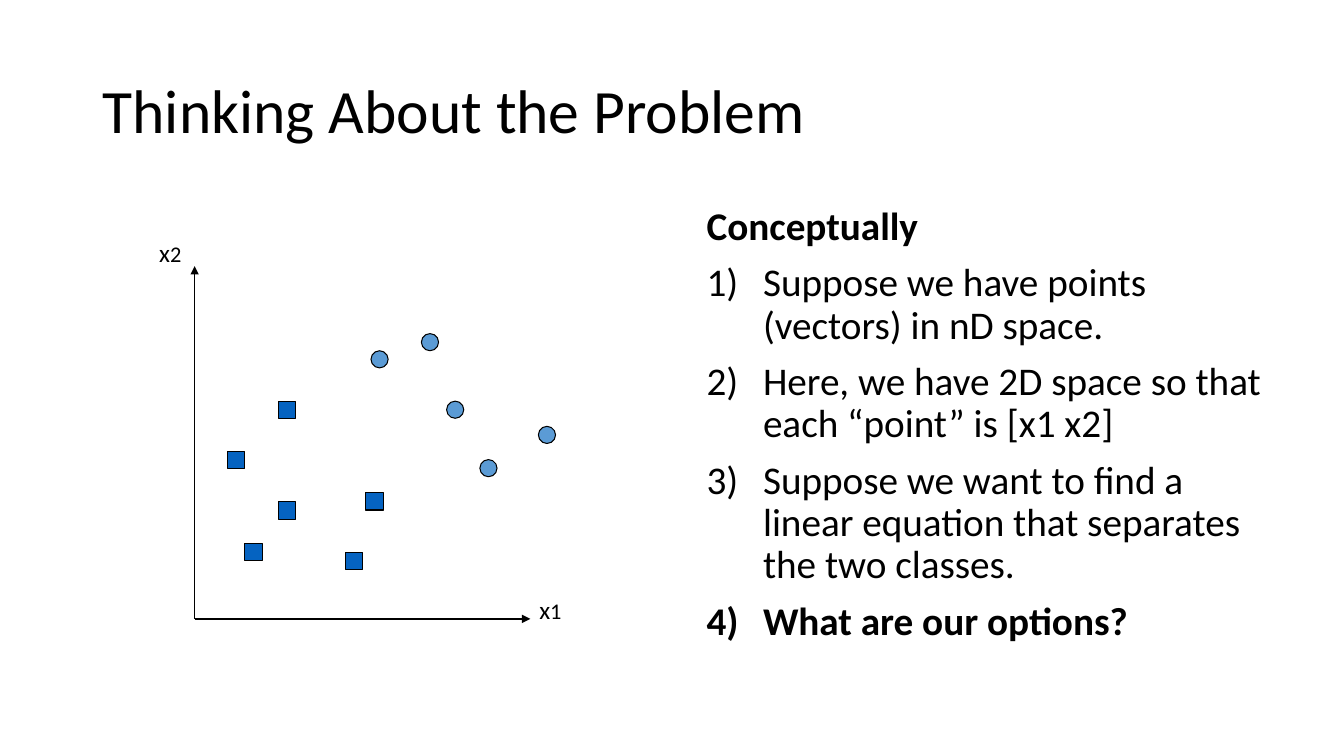
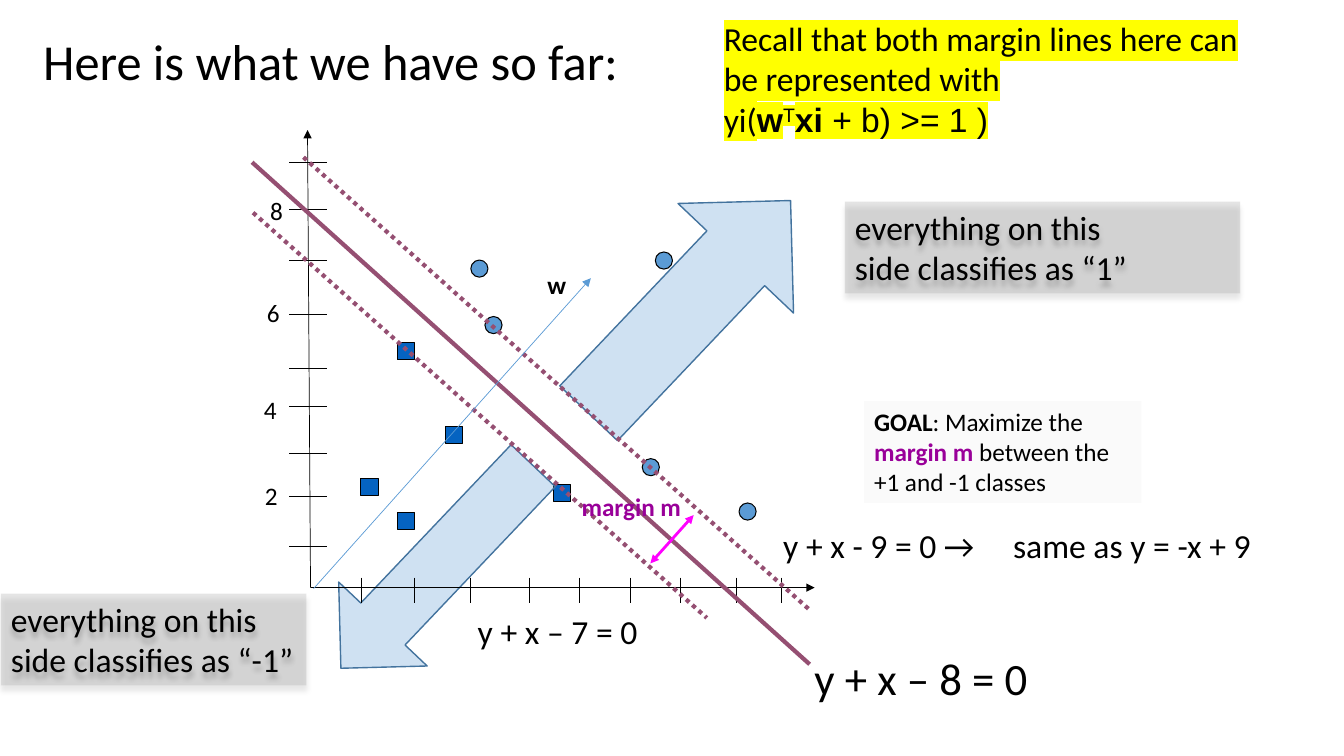
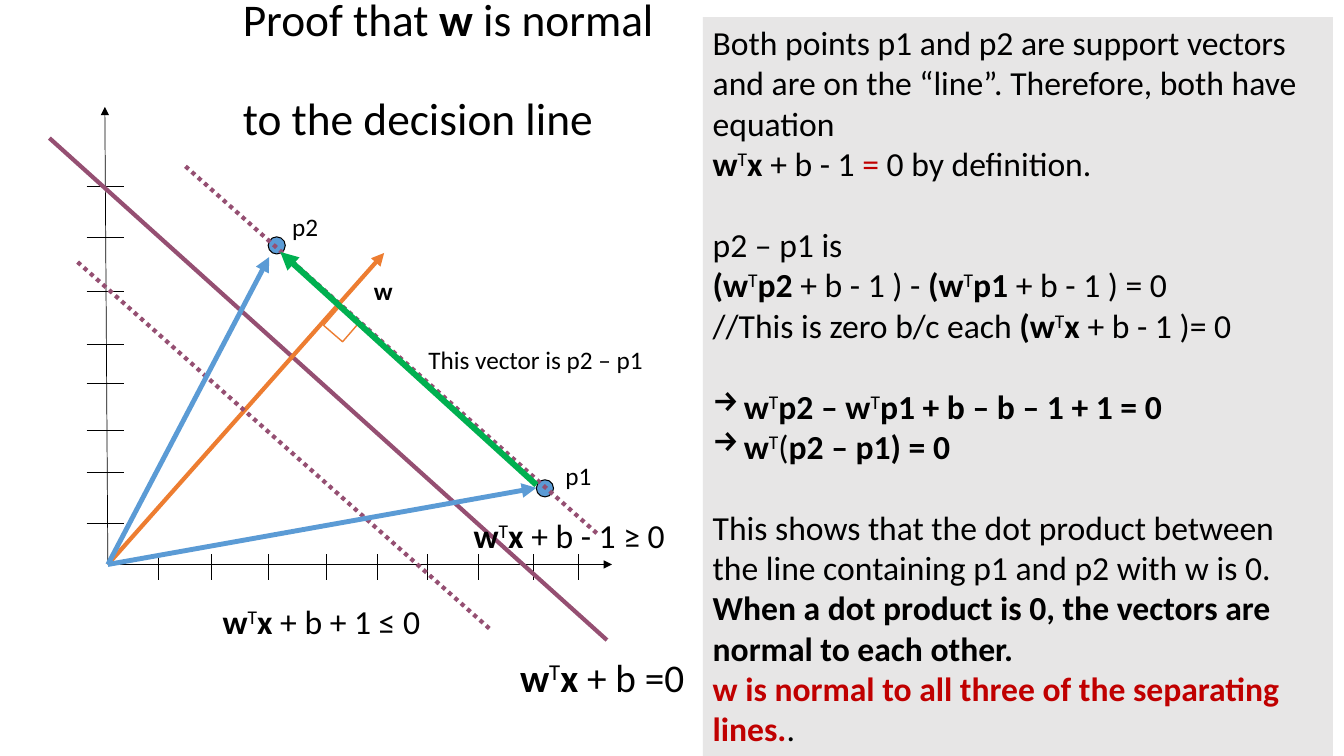
from lxml.etree import SubElement
from pptx import Presentation
from pptx.dml.color import RGBColor
from pptx.enum.dml import MSO_LINE
from pptx.enum.shapes import MSO_CONNECTOR, MSO_SHAPE
from pptx.enum.text import MSO_ANCHOR
from pptx.oxml.ns import qn
from pptx.util import Inches, Pt

BLACK, WHITE, BLUE, DEEP_BLUE, STEEL = "000000", "FFFFFF", "5B9BD5", "0563C1", "43739E"
PLUM, PURPLE, MAGENTA, ORANGE, GREEN = "954F72", "990099", "FF00FF", "ED7D31", "00B050"
RED, YELLOW, GREY, PALE, SILVER = "C00000", "FFFF00", "9D9D9D", "FAFAFA", "E7E6E6"

presentation = Presentation()
presentation.slide_width = Inches(13.33)
presentation.slide_height = Inches(7.5)
cell = presentation.slide_height // 75


def paint(fill, color, alpha=None):
    fill.solid()
    fill.fore_color.rgb = RGBColor.from_string(color)
    if alpha:
        for choice in fill._xPr.iter(qn("a:srgbClr")):
            SubElement(choice, qn("a:alpha"), val=str(alpha * 1000))


def add_text(slide, box, text, wrap=True, anchor=MSO_ANCHOR.TOP, spacing=None,
             fill=None, alpha=None, shadow=False, **style):
    shape = slide.shapes.add_textbox(*[int(length * cell) for length in box])
    frame = shape.text_frame
    frame.word_wrap = wrap
    frame.vertical_anchor = anchor
    if fill:
        paint(shape.fill, fill, alpha)
    if shadow:
        shape.shadow.inherit = False
        effects = shape._element.spPr.find(qn("a:effectLst"))
        outer = SubElement(effects, qn("a:outerShdw"), blurRad=str(Pt(4)), dist=str(Pt(4)),
                           dir="5400000", algn="t", rotWithShape="0")
        shade = SubElement(outer, qn("a:srgbClr"), val=BLACK)
        SubElement(shade, qn("a:alpha"), val="36000")
    for number, runs in enumerate([text] if isinstance(text, str) else text):
        paragraph = frame.add_paragraph() if number else frame.paragraphs[0]
        if spacing:
            paragraph.line_spacing = spacing
        for words, change in [(runs, {})] if isinstance(runs, str) else runs:
            look = {"font": "Calibri", "size": 18, "color": BLACK, "bold": False, **style, **change}
            run = paragraph.add_run()
            run.text = words
            run.font.size = Pt(look["size"])
            run.font.bold = look["bold"]
            paint(run.font.fill, look["color"])
            properties = run._r.get_or_add_rPr()
            if "highlight" in look:
                marker = SubElement(properties, qn("a:highlight"))
                SubElement(marker, qn("a:srgbClr"), val=look["highlight"])
            if "raised" in look:
                properties.set("baseline", "30000")
            run.font.name = look["font"]
    return shape


problem, margins, proof = [
    presentation.slides.add_slide(presentation.slide_layouts[6]) for _ in range(3)]
plain, bold, raised = {}, {"bold": True}, {"raised": True}
weight = [("w", bold), ("T", raised)]
weight_x = [*weight, ("x", bold)]

titles = [
    (problem, (9.2, 4, 115, 14.5), 44, "Thinking About the Problem"),
    (margins, (3.3, 2.5, 85, 7.8), 36, "Here is what we have so far:"),
    (proof, (23.1, 1.8, 43.3, 10.6), 32.4,
     [[("Proof that ", plain), ("w", bold), (" is normal", plain)], "to the decision line"]),
]
for slide, box, size, text in titles:
    title = add_text(slide, box, text, size=size, anchor=MSO_ANCHOR.MIDDLE, spacing=0.9)
    for paragraph in title.text_frame.paragraphs[1:]:
        paragraph.space_before = Pt(35.6)

circle, square = (MSO_SHAPE.OVAL, BLUE), (MSO_SHAPE.RECTANGLE, DEEP_BLUE)
point_sets = [
    (problem, circle, [(41.8, 33.1), (44.3, 39.8), (53.4, 42.3), (36.8, 34.8), (47.6, 45.6)]),
    (problem, square, [(22.6, 44.8), (36.3, 48.9), (34.3, 54.8), (27.6, 49.8), (24.3, 53.9),
                       (27.6, 39.8)]),
    (margins, square, [(39.4, 34), (44.2, 42.3), (35.8, 47.5), (39.4, 50.8), (54.9, 48.1)]),
    (margins, circle, [(46.7, 25.8), (48.1, 31.4), (65, 25), (63.7, 45.5), (73.3, 49.9)]),
    (proof, circle, [(26.6, 23.5), (53.2, 47.6)]),
]
figures = [
    (slide, preset, (left, top, 1.7, 1.7), 0, fill, None, BLACK, 0.75)
    for slide, (preset, fill), places in point_sets for left, top in places]
figures += [
    (margins, MSO_SHAPE.UP_ARROW, (60.5, 15.9, 15.8, 29.1), 43.5, BLUE, 29, STEEL, 1),
    (margins, MSO_SHAPE.DOWN_ARROW, (37.3, 42.4, 12.1, 27.7), 43.5, BLUE, 29, STEEL, 1),
    (proof, MSO_SHAPE.RECTANGLE, (32.6, 30.9, 2.5, 2.5), 40.9, WHITE, None, ORANGE, 1),
]
for slide, preset, box, turn, fill, alpha, outline, width in figures:
    shape = slide.shapes.add_shape(preset, *[int(length * cell) for length in box])
    shape.shadow.inherit = False
    shape.rotation = turn
    paint(shape.fill, fill, alpha)
    paint(shape.line.fill, outline)
    shape.line.width = Pt(width)

axes = [
    (problem, 19.3, 61.4, 0, 35, 33.3, 1),
    (margins, 30.8, 58.3, -0.3, 45.4, 50, 0.5),
    (proof, 10.7, 56, -0.3, 45.4, 50, 0.5),
]
strokes = []
for slide, left, base, lean, height, length, width in axes:
    strokes += [
        (slide, (left, base, left + lean, base - height), BLACK, width, "tail"),
        (slide, (left, base, left + length, base), BLACK, width, "tail"),
    ]
across = [5, 10.3, 15.9, 21.7, 26.7, 31.7, 36.7, 42.2, 46.7]
upward = [4.1, 9.1, 13.3, 18, 21.8, 27.1, 32.5, 37.5, 42.2]
for slide, left, base, count in [(margins, 30.8, 58.3, 9), (proof, 10.7, 56, 8)]:
    for step in across:
        strokes.append((slide, (left + step, base - 1, left + step, base + 1.5), BLACK, 0.5, ""))
    for step in upward[:count]:
        strokes.append((slide, (left - 2.1, base - step, left + 1.6, base - step), BLACK, 0.5, ""))
strokes += [
    (margins, (30.1, 15.6, 80.3, 60.5), PLUM, 3, "dots"),
    (margins, (25.1, 21.1, 70.1, 61.3), PLUM, 3, "dots"),
    (margins, (25, 16.1, 80.3, 65.9), PLUM, 3, ""),
    (margins, (68.8, 51.1, 64.5, 55.9), MAGENTA, 2, "head tail"),
    (margins, (31.1, 58.4, 58.6, 27.6), BLUE, 0.5, "tail"),
    (proof, (18.4, 16.5, 59.3, 53), PLUM, 3, "dots"),
    (proof, (4.9, 13.7, 60.2, 63.5), PLUM, 3, ""),
    (proof, (10.7, 56, 38.1, 25.1), ORANGE, 3, "tail"),
    (proof, (7.7, 26, 48.7, 62.5), PLUM, 3, "dots"),
    (proof, (10.7, 56, 53.2, 48.4), BLUE, 3.5, "tail"),
    (proof, (10.7, 56, 26.7, 25.5), BLUE, 3.5, "tail"),
    (proof, (53.2, 48.1, 27.8, 25), GREEN, 4.25, "tail"),
]
for slide, ends, color, width, features in strokes:
    line = slide.shapes.add_connector(
        MSO_CONNECTOR.STRAIGHT, *[int(length * cell) for length in ends])
    paint(line.line.fill, color)
    line.line.width = Pt(width)
    if "dots" in features:
        line.line.dash_style = MSO_LINE.ROUND_DOT
    properties = line._element.spPr
    for end in ("head", "tail"):
        if end in features:
            SubElement(properties.find(qn("a:ln")), qn(f"a:{end}End"), type="triangle")
    SubElement(properties, qn("a:effectLst"))

steps = add_text(problem, (69.1, 20, 58.4, 47.6), [
    [("Conceptually", bold)],
    "Suppose we have points (vectors) in nD space.",
    "Here, we have 2D space so that each “point” is [x1 x2]",
    "Suppose we want to find a linear equation that separates the two classes.",
    [("What are our options?", bold)],
], size=28, spacing=0.9)
for paragraph in steps.text_frame.paragraphs[1:]:
    paragraph.space_before = Pt(10)
    properties = paragraph._p.get_or_add_pPr()
    properties.set("marL", str(Inches(0.56)))
    properties.set("indent", str(-Inches(0.56)))
    SubElement(properties, qn("a:buAutoNum"), type="arabicParenR")

small = {"size": 16}
labels = [
    (problem, (52.5, 58.5, 4.2, 4), [[("x", plain), ("1", small)]], {}),
    (problem, (14.8, 23.1, 4.2, 4), [[("x", plain), ("2", small)]], {}),
    (margins, (25.5, 29, 3.3, 4), "6", {}),
    (margins, (25.2, 38.6, 3.3, 4), "4", {}),
    (margins, (25.3, 47.2, 3.3, 4), "2", {}),
    (margins, (25.8, 18.9, 3.3, 4), "8", {}),
    (margins, (53.3, 26.2, 3.9, 4), "w", bold),
    (margins, (56.7, 48.3, 12, 4), "margin m", {"bold": True, "color": PURPLE}),
    (margins, (46.4, 60.1, 18, 5), "y + x – 7 = 0", {"size": 24, "wrap": True}),
    (margins, (79.8, 64.1, 23.6, 6.4), "y + x – 8 = 0", {"size": 32}),
    (proof, (36.1, 26.8, 3.9, 4), "w", bold),
    (proof, (28, 20.5, 4.6, 4), "p2", {}),
    (proof, (55.1, 45.2, 5.8, 4), "p1", {}),
    (proof, (41.5, 33.7, 24.1, 4), "This vector is p2 – p1", {}),
    (proof, (46, 50.6, 23, 5), [[*weight_x, (" + b - 1 ≥ 0", plain)]], {"size": 24, "wrap": True}),
    (proof, (21.1, 59.1, 30, 5), [[*weight_x, (" + b + 1 ≤ 0", plain)]],
     {"size": 24, "wrap": True}),
    (proof, (50.6, 64.3, 18.7, 5.7), [[*weight_x, (" + b =0", plain)]], {"size": 28}),
]
for slide, box, text, style in labels:
    add_text(slide, box, text, **{"wrap": False, **style})

for box, side, alpha in [((83.8, 20, 39.2, 9.1), "1", 27), ((0.1, 58.9, 30.3, 9.1), "-1", 26)]:
    add_text(margins, box, ["everything on this", f"side classifies as “{side}”"],
             size=24, fill=GREY, alpha=alpha, shadow=True, wrap=False)

equation = add_text(margins, (76.7, 51.6, 50, 5), "y + x - 9 = 0 →\tsame as y = -x + 9", size=24)
tabs = SubElement(equation.text_frame.paragraphs[0]._p.get_or_add_pPr(), qn("a:tabLst"))
SubElement(tabs, qn("a:tab"), pos=str(Inches(2.28)), algn="l")

add_text(margins, (85.7, 39.8, 27.5, 10.1), [[
    ("GOAL", bold), (": Maximize the ", plain), ("margin m", {"bold": True, "color": PURPLE}),
    (" between the +1 and -1 classes", plain),
]], fill=PALE)

arial = {"font": "Arial"}
add_text(margins, (70.8, 1.3, 55.9, 13.1), [
    "Recall that both margin lines here can be represented with",
    [("yi(", plain), ("w", {**arial, **bold}), ("T", {**arial, **raised}),
     ("xi", {**arial, **bold}), (" + b) >= 1 )", arial)],
], size=24, highlight=YELLOW)

argument = add_text(proof, (69.7, 1.7, 62.5, 73.7), [
    "Both points p1 and p2 are support vectors and are on the “line”. "
    "Therefore, both have equation",
    [*weight_x, (" + b - 1 ", plain), ("=", {"color": RED}), (" 0 by definition.", plain)],
    "p2 – p1 is",
    [("(", bold), *weight, ("p2", bold), (" + b - 1 ) - ", plain),
     ("(", bold), *weight, ("p1", bold), (" + b - 1 ) = 0", plain)],
    [("//This is zero b/c each ", plain), ("(", bold), *weight_x, (" + b - 1 )= 0", plain)],
    [*weight, ("p2 – w", bold), ("T", raised), ("p1 + b – b – 1 + 1 = 0", bold)],
    [*weight, ("(", plain), ("p2 – p1) = 0", bold)],
    [("This shows that the dot product between the line containing p1 and p2 with w is 0. ", plain),
     ("When a dot product is 0, the vectors are normal to each other.", bold)],
    [("w is normal to all three of the separating lines.", {"bold": True, "color": RED}),
     (".", plain)],
], size=24, fill=SILVER)
paragraphs = argument.text_frame.paragraphs
for number in (2, 5, 7):
    paragraphs[number].space_before = Pt(29)
for paragraph in paragraphs[5:7]:
    properties = paragraph._p.get_or_add_pPr()
    properties.set("marL", str(Inches(0.31)))
    properties.set("indent", str(-Inches(0.31)))
    SubElement(properties, qn("a:buChar"), char="→")

presentation.save("out.pptx")
